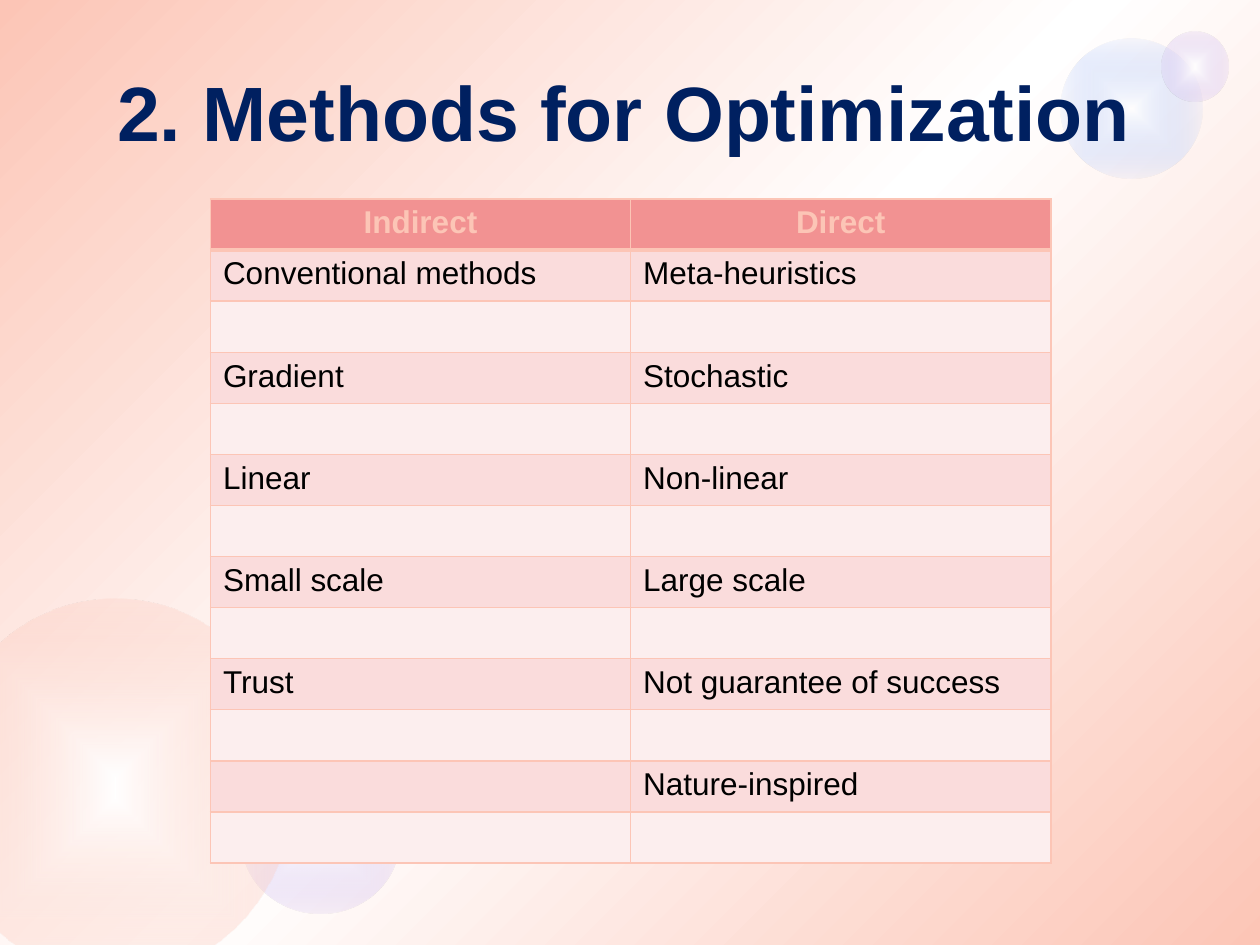
from typing import NamedTuple

from lxml.etree import SubElement
from pptx import Presentation
from pptx.dml.color import RGBColor
from pptx.enum.shapes import MSO_SHAPE as Shape
from pptx.enum.text import MSO_ANCHOR as Anchor, PP_ALIGN as Align
from pptx.oxml import parse_xml
from pptx.oxml.ns import nsdecls, qn
from pptx.util import Inches, Pt

FONT = "Arial"
WHITE = RGBColor(0xFF, 0xFF, 0xFF)
BLACK = RGBColor(0, 0, 0)
NAVY = RGBColor(0x00, 0x20, 0x60)
PEACH = RGBColor(0xFC, 0xC5, 0xB6)
LILAC = RGBColor(0xD1, 0xBC, 0xEE)
BLUE = RGBColor(0xA8, 0xC1, 0xFA)
HEADER = RGBColor(0xF2, 0x92, 0x92)
BAND_DARK = RGBColor(0xFA, 0xDC, 0xDC)
BAND_LIGHT = RGBColor(0xFC, 0xEE, 0xEE)

LINEAR = '<a:lin ang="2700000" scaled="0"/>'
FROM_CENTRE = ('<a:path path="shape"><a:fillToRect l="50000" t="50000" '
               'r="50000" b="50000"/></a:path>')


class Stop(NamedTuple):
    position: int
    color: RGBColor
    opacity: int = 100


class Bubble(NamedTuple):
    left: float
    top: float
    width: float
    height: float
    color: RGBColor
    opacity: int


BUBBLES = [
    Bubble(1.92, 6.08, 1.25, 1.17, LILAC, 20),
    Bubble(-0.5, 4.75, 2.83, 3, PEACH, 24),
    Bubble(8.42, 0.31, 1.12, 1.11, BLUE, 10),
    Bubble(9.22, 0.25, 0.53, 0.56, LILAC, 20),
]

HEADINGS = ("Indirect", "Direct")
METHODS = [
    ("Conventional methods", "Meta-heuristics"),
    ("Gradient", "Stochastic"),
    ("Linear", "Non-linear"),
    ("Small scale", "Large scale"),
    ("Trust", "Not guarantee of success"),
    ("", "Nature-inspired"),
]


def set_gradient(properties, stops: list[Stop], direction: str) -> None:
    """Replace the solid fill inside a properties element by a gradient."""
    stop_xml = "".join(
        f'<a:gs pos="{stop.position * 1000}"><a:srgbClr val="{stop.color}">'
        f'<a:alpha val="{stop.opacity * 1000}"/></a:srgbClr></a:gs>'
        for stop in stops)
    gradient = parse_xml(f'<a:gradFill {nsdecls("a")} rotWithShape="1">'
                         f'<a:gsLst>{stop_xml}</a:gsLst>{direction}</a:gradFill>')
    properties.replace(properties.find(qn("a:solidFill")), gradient)


def add_bubble(slide, bubble: Bubble) -> None:
    shape = slide.shapes.add_shape(
        Shape.OVAL, Inches(bubble.left), Inches(bubble.top),
        Inches(bubble.width), Inches(bubble.height))
    shape.shadow.inherit = False
    shape.line.fill.background()
    shape.fill.solid()
    set_gradient(shape.element.spPr,
                 [Stop(0, WHITE), Stop(100, bubble.color, bubble.opacity)],
                 FROM_CENTRE)


def format_run(run, size: int, color: RGBColor, bold: bool) -> None:
    run.font.name = FONT
    run.font.size = Pt(size)
    run.font.color.rgb = color
    run.font.bold = bold


def set_borders(cell, top: int, bottom: int) -> None:
    properties = cell._tc.get_or_add_tcPr()
    widths = {"a:lnL": 1, "a:lnR": 1, "a:lnT": top, "a:lnB": bottom}
    for tag, width in widths.items():
        line = SubElement(properties, qn(tag), w=str(Pt(width)))
        SubElement(SubElement(line, qn("a:solidFill")), qn("a:srgbClr"),
                   val=str(PEACH))


def fill_cell(cell, text: str, row: int) -> None:
    is_header = row == 0
    # Borders come before the fill in the cell properties
    set_borders(cell, top=3 if row == 1 else 1, bottom=3 if is_header else 1)
    cell.fill.solid()
    cell.fill.fore_color.rgb = (
        HEADER if is_header else BAND_DARK if row % 2 else BAND_LIGHT)
    if text:
        cell.text_frame.text = text
        paragraph = cell.text_frame.paragraphs[0]
        paragraph.alignment = Align.CENTER if is_header else Align.LEFT
        format_run(paragraph.runs[0], 18, PEACH if is_header else BLACK, is_header)


def add_methods_table(slide) -> None:
    rows = [HEADINGS]
    for methods in METHODS:
        rows += [methods, ("", "")]
    table = slide.shapes.add_table(
        len(rows), len(HEADINGS), Inches(1.67), Inches(1.58),
        Inches(6.67), Inches(5.27)).table
    for row, texts in enumerate(rows):
        for column, text in enumerate(texts):
            fill_cell(table.cell(row, column), text, row)


def add_title(slide, text: str) -> None:
    title = slide.shapes.title
    title.left, title.top = Inches(0.83), Inches(0.5)
    title.width, title.height = Inches(8.67), Inches(0.75)
    frame = title.text_frame
    frame.text = text
    frame.vertical_anchor = Anchor.MIDDLE
    frame.paragraphs[0].alignment = Align.LEFT
    format_run(frame.paragraphs[0].runs[0], 44, NAVY, True)
    # Bring the title in front of the bubbles
    slide.shapes._spTree.append(title.element)


def main() -> None:
    presentation = Presentation()
    presentation.slide_width = Inches(10)
    presentation.slide_height = Inches(7.5)
    slide = presentation.slides.add_slide(presentation.slide_layouts[5])

    # Background
    slide.background.fill.solid()
    set_gradient(slide.element.find(".//" + qn("p:bgPr")),
                 [Stop(0, PEACH), Stop(50, WHITE), Stop(100, PEACH)], LINEAR)
    for bubble in BUBBLES:
        add_bubble(slide, bubble)

    # Content
    add_title(slide, "2. Methods for Optimization")
    add_methods_table(slide)
    presentation.save("out.pptx")


if __name__ == "__main__":
    main()
